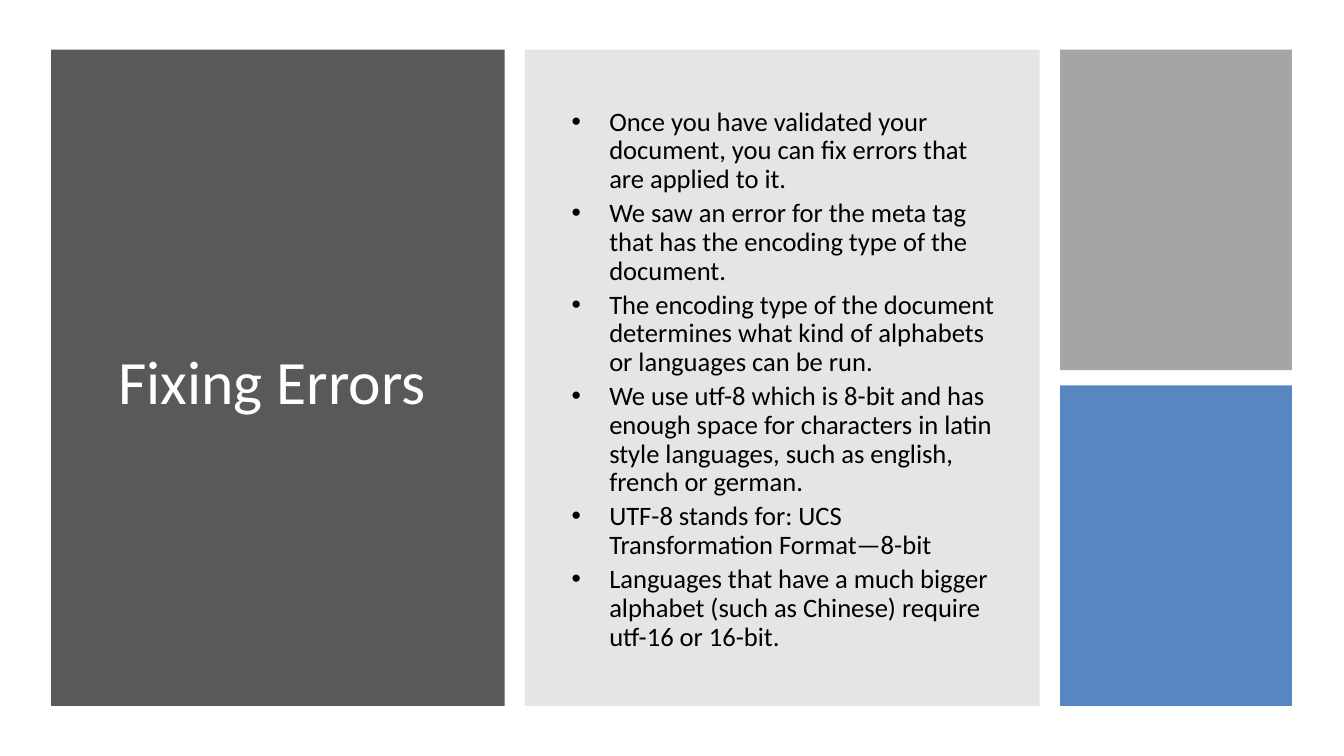
"""Build the "Fixing Errors" slide: a title panel, a bullet panel and two accent tiles."""
from lxml.etree import SubElement
from pptx import Presentation
from pptx.dml.color import RGBColor
from pptx.enum.shapes import MSO_SHAPE as Shape
from pptx.enum.text import MSO_ANCHOR as Anchor, MSO_AUTO_SIZE as AutoSize, PP_ALIGN as Align
from pptx.oxml.ns import qn
from pptx.util import Cm, Pt

COLOURS = {
    "title panel": "595959",
    "body panel": "808080",
    "top tile": "A5A5A5",
    "bottom tile": "4F81BD",
    "title": "FFFFFF",
    "body": "000000",
}
FONT = "Calibri"
TOP, HEIGHT = 1.25, 16.54
TILE_LEFT, TILE_WIDTH, TILE_HEIGHT = 26.72, 5.84, 8.08
TEXT_TOP, TEXT_HEIGHT = 2.12, 14.91
INDENT = Cm(0.95)
BULLETS = [
    "Once you have validated your document, you can fix errors that are applied to it.",
    "We saw an error for the meta tag that has the encoding type of the document.",
    "The encoding type of the document determines what kind of alphabets or languages can be run.",
    "We use utf-8 which is 8-bit and has enough space for characters in latin style languages, "
    "such as english, french or german.",
    "UTF-8 stands for: UCS Transformation Format—8-bit",
    "Languages that have a much bigger alphabet (such as Chinese) require utf-16 or 16-bit.",
]


def place(shape, left, top, width, height):
    shape.left, shape.top, shape.width, shape.height = map(Cm, (left, top, width, height))


def style(paragraph, size, colour):
    paragraph.font.name = FONT
    paragraph.font.size = Pt(size)
    paragraph.font.color.rgb = RGBColor.from_string(COLOURS[colour])


presentation = Presentation()
presentation.slide_width, presentation.slide_height = Cm(33.87), Cm(19.05)
slide = presentation.slides.add_slide(presentation.slide_layouts[1])
title, body = slide.placeholders

panels = [
    ("title panel", 1.29, TOP, 11.43, HEIGHT, 100),
    ("body panel", 13.22, TOP, 12.98, HEIGHT, 20),
    ("top tile", TILE_LEFT, TOP, TILE_WIDTH, TILE_HEIGHT, 100),
    ("bottom tile", TILE_LEFT, TOP + HEIGHT - TILE_HEIGHT, TILE_WIDTH, TILE_HEIGHT, 95),
]
for role, left, top, width, height, opacity in panels:
    panel = slide.shapes.add_shape(Shape.RECTANGLE, 0, 0, 0, 0)
    place(panel, left, top, width, height)
    panel.shadow.inherit = False
    panel.line.fill.background()
    panel.fill.solid()
    panel.fill.fore_color.rgb = RGBColor.from_string(COLOURS[role])
    if opacity < 100:
        colour = panel.element.spPr.find(f".//{qn('a:srgbClr')}")
        SubElement(colour, qn("a:alpha")).set("val", str(opacity * 1000))

for placeholder, left, width in ((title, 2.16, 9.75), (body, 14.15, 11.23)):
    place(placeholder, left, TEXT_TOP, width, TEXT_HEIGHT)
    slide.shapes.element.append(placeholder.element)
    frame = placeholder.text_frame
    frame.word_wrap = True
    frame.auto_size = AutoSize.NONE
    frame.vertical_anchor = Anchor.MIDDLE

title.text_frame.text = "Fixing Errors "
heading = title.text_frame.paragraphs[0]
heading.alignment = Align.CENTER
style(heading, 44, "title")

body.text_frame.text = "\n".join(BULLETS)
for paragraph in body.text_frame.paragraphs:
    style(paragraph, 19, "body")
    paragraph.line_spacing = 0.9
    paragraph.space_before = Pt(3.8)
    properties = paragraph._p.get_or_add_pPr()
    properties.set("marL", str(INDENT))
    properties.set("indent", str(-INDENT))

presentation.save("out.pptx")
